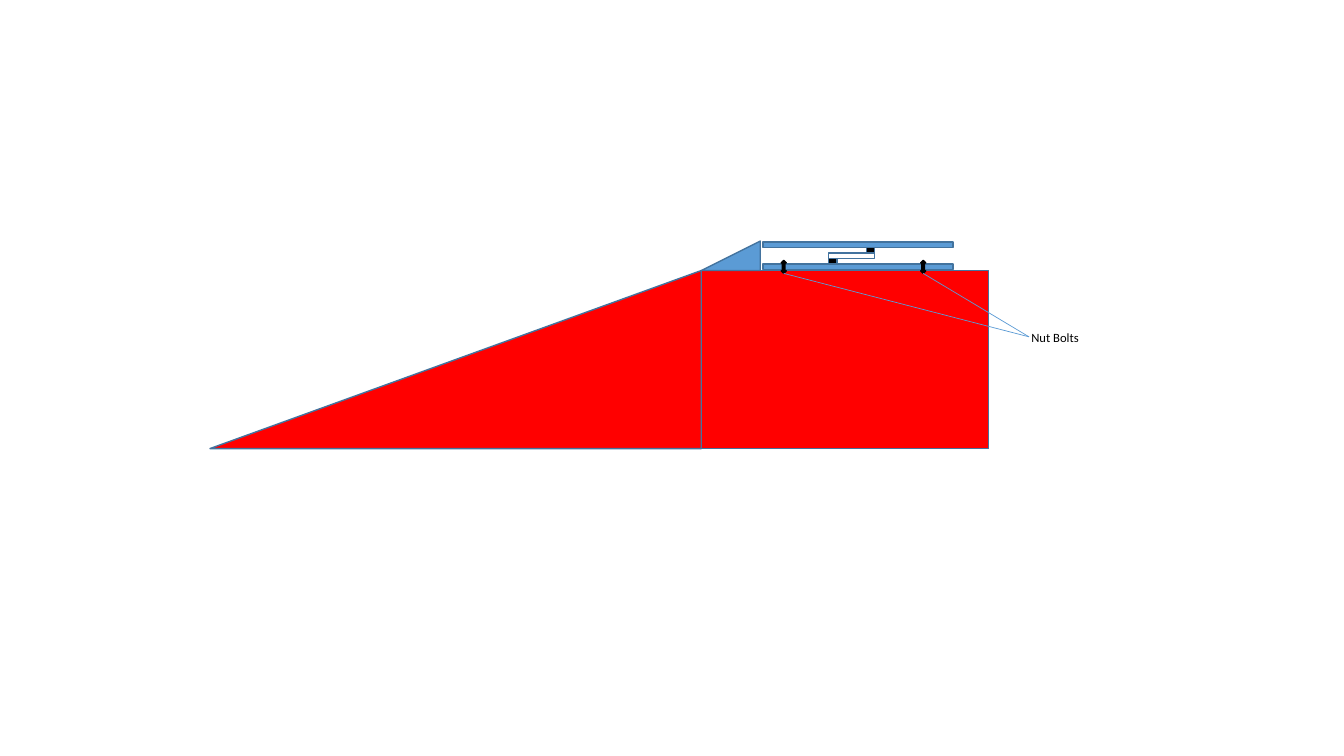
import pptx
import pptx.util
import pptx.dml.color
import pptx.enum.shapes
import pptx.enum.text
import pptx.oxml.ns
import lxml.etree

RGB = pptx.dml.color.RGBColor
RED = RGB(0xFF, 0, 0)
BLUE = RGB(0x5B, 0x9B, 0xD5)
EDGE = RGB(0x43, 0x73, 0x9E)
BLACK = RGB(0, 0, 0)
WHITE = RGB(0xFF, 0xFF, 0xFF)
KIND = pptx.enum.shapes.MSO_SHAPE
WIDTH, HEIGHT = pptx.util.Inches(13.33), pptx.util.Inches(7.5)
COLS, ROWS = 160, 90


def across(cols):
    """Turn grid columns into a length."""
    return round(WIDTH * cols / COLS)


def down(rows):
    """Turn grid rows into a length."""
    return round(HEIGHT * rows / ROWS)


def add_part(slide, kind, left, top, width, height, fill, edge=EDGE, peak=None):
    """Add a filled, outlined shape, with the peak of a triangle as a share."""
    part = slide.shapes.add_shape(
        kind, across(left), down(top), across(width), down(height))
    part.shadow.inherit = False
    part.fill.solid()
    part.fill.fore_color.rgb = fill
    part.line.color.rgb = edge
    part.line.width = pptx.util.Pt(1)
    if peak is not None:
        part.adjustments[0] = peak


def add_lead(slide, start, end):
    """Add a thin leader line between two grid points."""
    lead = slide.shapes.add_connector(
        pptx.enum.shapes.MSO_CONNECTOR.STRAIGHT,
        across(start[0]), down(start[1]), across(end[0]), down(end[1]))
    lead.line.color.rgb = BLUE
    lead.line.width = pptx.util.Pt(0.5)
    lead._element.spPr.append(
        lxml.etree.Element(pptx.oxml.ns.qn("a:effectLst")))


def add_label(slide, text, left, top, width, height):
    """Add a small label that does not wrap."""
    label = slide.shapes.add_textbox(
        across(left), down(top), across(width), down(height))
    frame = label.text_frame
    frame.text = text
    frame.word_wrap = False
    frame.auto_size = pptx.enum.text.MSO_AUTO_SIZE.SHAPE_TO_FIT_TEXT
    font = frame.paragraphs[0].runs[0].font
    font.name = "Calibri"
    font.size = pptx.util.Pt(9)
    font.color.rgb = BLACK


def add_ramp(slide, left, edge, top):
    """Add the red ramp, the block behind it and the small wedge on top."""
    tall = 21.2
    add_part(slide, KIND.ISOSCELES_TRIANGLE, left, top, edge - left, tall, RED, peak=1)
    add_part(slide, KIND.RECTANGLE, edge, top, 34.2, tall, RED)
    add_part(slide, KIND.ISOSCELES_TRIANGLE, edge, top - 3.5, 7, 3.5, BLUE, peak=1)


def add_scale(slide, left, top):
    """Add two plates with a load cell and its pads stacked between them."""
    step, plate, cell, pad = 0.66, 22.6, 5.5, 1
    inner = left + 7.8
    layers = [
        (4, left, plate, BLUE),
        (2, inner, cell, WHITE),
        (3, inner, pad, BLACK),
        (1, inner + cell - pad, pad, BLACK),
        (0, left, plate, BLUE),
    ]
    for level, start, width, fill in layers:
        add_part(slide, KIND.RECTANGLE, start, top + level * step, width, step, fill)


def add_bolts(slide, lefts, top, target):
    """Add the bolts, each with a leader line to the target point."""
    width, height = 0.6, 1.55
    for left in lefts:
        add_part(slide, KIND.UP_DOWN_ARROW, left, top, width, height, BLACK, BLACK)
    for left in lefts:
        add_lead(slide, (left + width / 2, top + height), target)


def main():
    """Build the slide and save it."""
    deck = pptx.Presentation()
    deck.slide_width, deck.slide_height = WIDTH, HEIGHT
    slide = deck.slides.add_slide(deck.slide_layouts[6])
    add_ramp(slide, 25, 83.5, 32.2)
    add_scale(slide, 90.85, 28.8)
    add_bolts(slide, (93, 109.6), 31, (122.5, 40.1))
    add_label(slide, "Nut Bolts", 121.6, 38.65, 8.15, 3)
    deck.save("out.pptx")


main()
